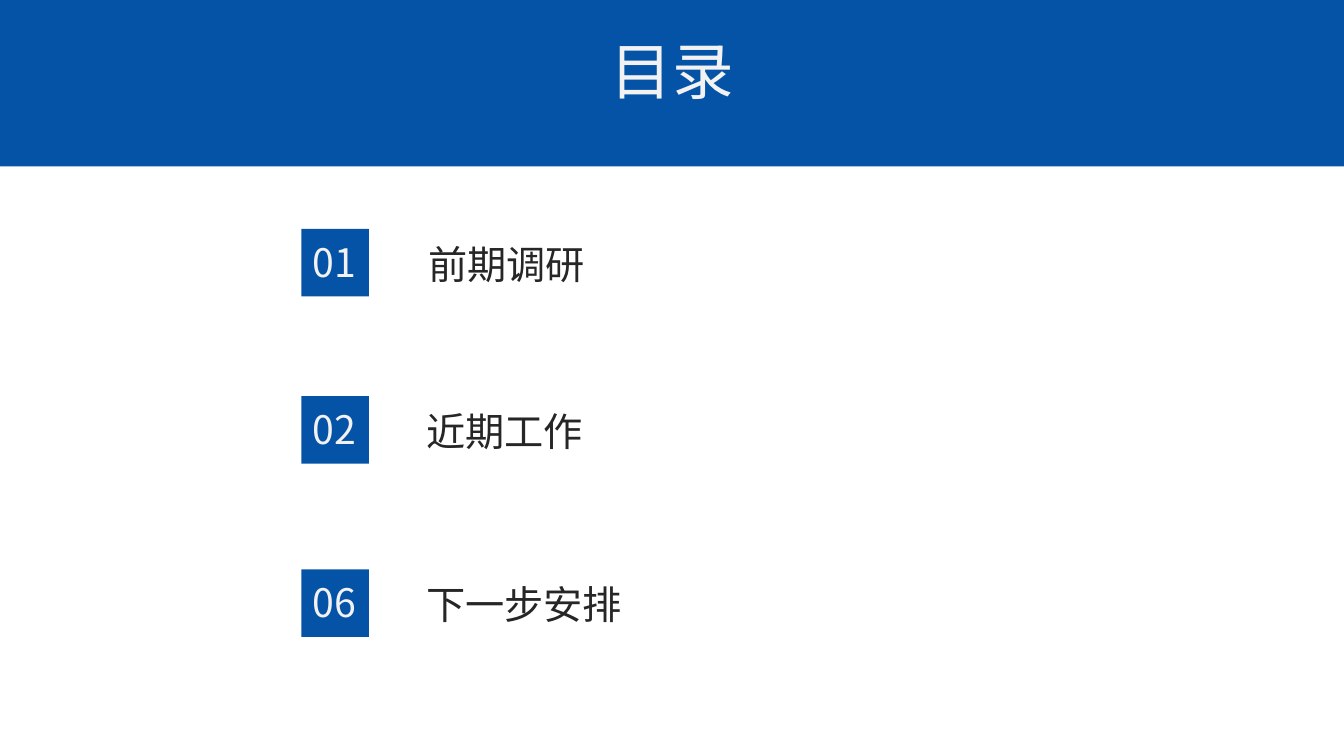
from lxml.etree import SubElement
from pptx import Presentation
from pptx.dml.color import RGBColor
from pptx.enum.shapes import MSO_SHAPE
from pptx.enum.text import MSO_ANCHOR, MSO_AUTO_SIZE, PP_ALIGN
from pptx.oxml.ns import qn
from pptx.util import Pt

TITLE = "目录"
# number, heading, top of the square, left and width of the heading
AGENDA = [
    ("01", "前期调研", 227, 415, 553),
    ("02", "近期工作", 393, 413, 638),
    ("06", "下一步安排", 565, 413, 602),
]

PX = 9144  # 100 px to the inch
FONT = "Noto Sans CJK SC"
COLORS = {"blue": "0553A7", "light": "F2F2F2", "dark": "262626"}
SQUARE_LEFT, SQUARE_SIZE = 299, 67
NUMBER_LEFT, NUMBER_WIDTH, TEXT_HEIGHT = 300, 69, 57
NUMBER_DROP, HEADING_DROP = 4, 6


def emu(*lengths):
    return [length * PX for length in lengths]


def add_block(shapes, *box):
    block = shapes.add_shape(MSO_SHAPE.RECTANGLE, *emu(*box))
    block.shadow.inherit = False
    block.fill.solid()
    block.fill.fore_color.rgb = RGBColor.from_string(COLORS["blue"])
    block.line.fill.background()
    return block


def write(shape, text, size, color, align=PP_ALIGN.LEFT, wrap=True):
    frame = shape.text_frame
    frame_format = {
        "text": text,
        "word_wrap": wrap,
        "auto_size": MSO_AUTO_SIZE.SHAPE_TO_FIT_TEXT,
        "vertical_anchor": MSO_ANCHOR.MIDDLE,
    }
    for name, value in frame_format.items():
        setattr(frame, name, value)
    paragraph = frame.paragraphs[0]
    paragraph.alignment = align
    font = paragraph.runs[0].font
    for name, value in {"name": FONT, "size": Pt(size), "bold": False}.items():
        setattr(font, name, value)
    font.color.rgb = RGBColor.from_string(COLORS[color])
    run_properties = paragraph.runs[0]._r.get_or_add_rPr()
    SubElement(run_properties, qn("a:ea")).set("typeface", FONT)


def add_text(shapes, box, text, color):
    write(shapes.add_textbox(*emu(*box)), text, 28, color)


def main():
    presentation = Presentation()
    presentation.slide_width, presentation.slide_height = emu(1333, 750)
    slide = presentation.slides.add_slide(presentation.slide_layouts[5])

    title = slide.shapes.title
    title.left, title.top, title.width, title.height = emu(595, 27, 144, 84)
    write(title, TITLE, 44, "light", PP_ALIGN.CENTER, wrap=False)
    band = add_block(slide.shapes, -5, 0, 1342, 165)
    title.element.addprevious(band.element)  # band lies behind the title

    for number, heading, top, left, width in AGENDA:
        shapes = slide.shapes.add_group_shape().shapes
        add_block(shapes, SQUARE_LEFT, top, SQUARE_SIZE, SQUARE_SIZE)
        number_box = (NUMBER_LEFT, top + NUMBER_DROP, NUMBER_WIDTH, TEXT_HEIGHT)
        add_text(shapes, number_box, number, "light")
        heading_box = (left, top + HEADING_DROP, width, TEXT_HEIGHT)
        add_text(shapes, heading_box, heading, "dark")

    presentation.save("out.pptx")


if __name__ == "__main__":
    main()
